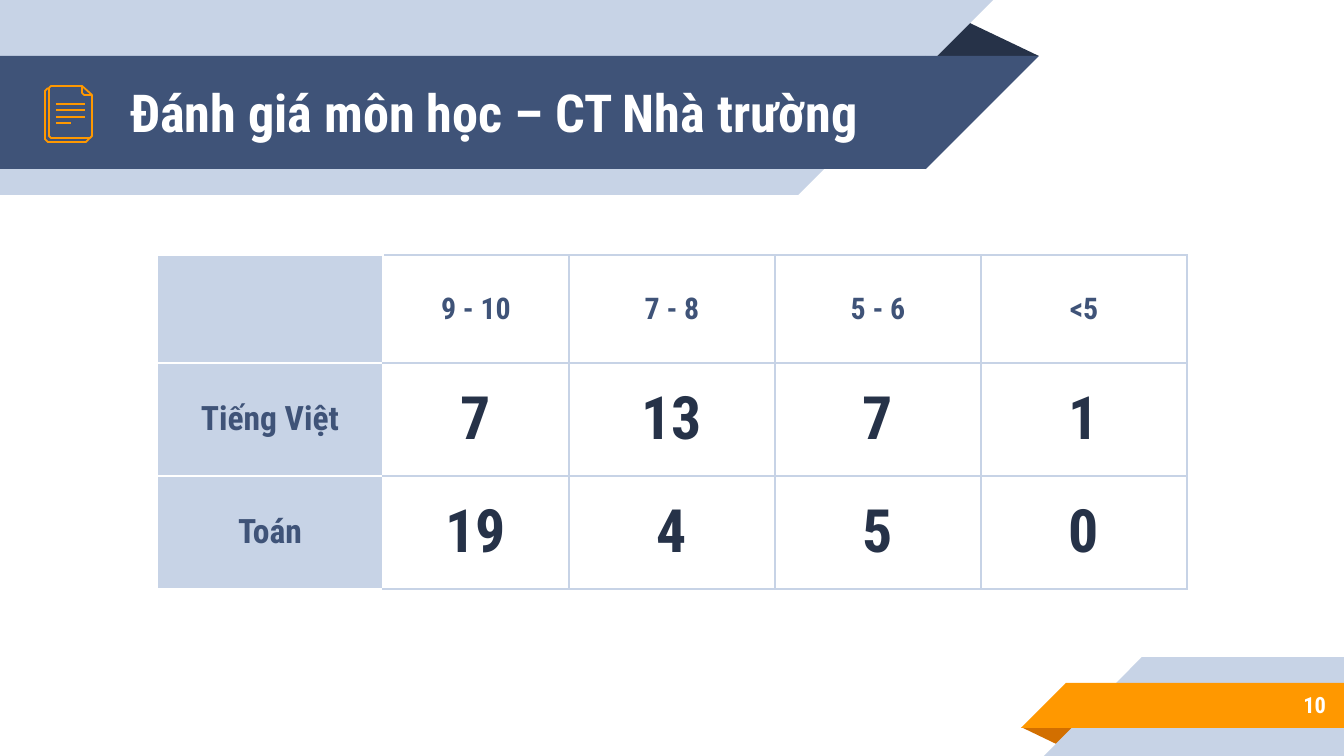
from dataclasses import dataclass

from lxml import etree
from pptx import Presentation
from pptx.dml.color import RGBColor
from pptx.enum.shapes import MSO_CONNECTOR, MSO_SHAPE
from pptx.enum.text import MSO_ANCHOR, PP_ALIGN
from pptx.oxml.ns import qn
from pptx.util import Pt

RECT = MSO_SHAPE.RECTANGLE
CORNER = MSO_SHAPE.RIGHT_TRIANGLE
FOLD = MSO_SHAPE.ISOSCELES_TRIANGLE
STRAIGHT = MSO_CONNECTOR.STRAIGHT
MIDDLE = MSO_ANCHOR.MIDDLE
LEFT, CENTER, RIGHT = PP_ALIGN.LEFT, PP_ALIGN.CENTER, PP_ALIGN.RIGHT

PX = 9144000 / 1344
FONT = "Roboto Condensed"
WHITE, PALE, NAVY, DARK = "FFFFFF", "C7D3E6", "3F5378", "263248"
ORANGE, RUST = "FF9800", "D26F00"


@dataclass
class Piece:
    kind: int
    box: tuple
    color: str
    rotation: int = 0
    flip: bool = False


@dataclass
class Label:
    text: str
    box: tuple
    size: int
    align: int


@dataclass
class Outline:
    points: list
    closed: bool = False


PIECES = [
    Piece(FOLD, (925, 19, 114, 37), DARK),
    Piece(RECT, (0, 0, 798, 195), PALE),
    Piece(CORNER, (798, 0, 195, 195), PALE, 180, True),
    Piece(RECT, (0, 56, 926, 113), NAVY),
    Piece(CORNER, (926, 56, 113, 113), NAVY, 180, True),
    Piece(FOLD, (1021, 727, 58, 19), RUST, 180),
    Piece(RECT, (1142, 657, 202, 99), PALE),
    Piece(CORNER, (1044, 657, 98, 99), PALE, 0, True),
    Piece(RECT, (1066, 683, 278, 45), ORANGE),
    Piece(CORNER, (1021, 683, 45, 45), ORANGE, 0, True),
]
LABELS = [
    Label("10", (1120, 681, 219, 47), 12, RIGHT),
    Label("Đánh giá môn học – CT Nhà trường", (117, 55, 773, 113), 28, LEFT),
]
PAGES = [
    Outline([(89, 138), (89, 139), (86, 142), (48, 142), (45, 139), (45, 91), (48, 88)]),
    Outline([(92, 95), (92, 136), (90, 138), (51, 138), (49, 136), (49, 88), (51, 86), (82, 86)]),
    Outline([(82, 86), (92, 95), (84, 95), (82, 93)], True),
]
TEXT_LINES = [(104, 85), (110, 85), (117, 85), (123, 71)]
SCORES = [
    ["", "9 - 10", "7 - 8", "5 - 6", "<5"],
    ["Tiếng Việt", "7", "13", "7", "1"],
    ["Toán", "19", "4", "5", "0"],
]
COLUMNS = [226, 186, 206, 206, 206]
ROWS = [108, 113, 113]


def px(n: int) -> int:
    return round(n * PX)


def rgb(color: str) -> RGBColor:
    return RGBColor.from_string(color)


def style_text(p, text: str, size: int, color: str, align: int) -> None:
    p.text = text
    p.alignment = align
    f = p.font
    f.name, f.size, f.bold = FONT, Pt(size), True
    f.color.rgb = rgb(color)


def draw_piece(shapes, piece: Piece) -> None:
    s = shapes.add_shape(piece.kind, *map(px, piece.box))
    s.shadow.inherit = False
    s.fill.solid()
    s.fill.fore_color.rgb = rgb(piece.color)
    s.line.fill.background()
    s.rotation = piece.rotation
    if piece.kind == FOLD:
        s.adjustments[0] = 0.32
    if piece.flip:
        s._element.spPr.find(qn("a:xfrm")).set("flipH", "1")


def draw_label(shapes, label: Label) -> None:
    tf = shapes.add_textbox(*map(px, label.box)).text_frame
    tf.word_wrap = True
    tf.vertical_anchor = MIDDLE
    tf.margin_left = tf.margin_right = tf.margin_top = tf.margin_bottom = px(13)
    style_text(tf.paragraphs[0], label.text, label.size, WHITE, label.align)


def style_stroke(s) -> None:
    s.line.color.rgb = rgb(ORANGE)
    s.line.width = Pt(0.96)


def draw_outline(shapes, outline: Outline) -> None:
    start, *rest = outline.points
    builder = shapes.build_freeform(*start, scale=PX)
    builder.add_line_segments(rest, close=outline.closed)
    s = builder.convert_to_shape()
    s.shadow.inherit = False
    s.fill.background()
    style_stroke(s)


def draw_text_line(shapes, y: int, right: int) -> None:
    s = shapes.add_connector(STRAIGHT, px(56), px(y), px(right), px(y))
    style_stroke(s)
    etree.SubElement(s._element.spPr, qn("a:effectLst"))


def set_border(cell, side: str, color: str) -> None:
    ln = etree.SubElement(cell._tc.get_or_add_tcPr(), qn(f"a:ln{side}"), w=str(Pt(0.75)))
    fill = etree.SubElement(ln, qn("a:solidFill"))
    etree.SubElement(fill, qn("a:srgbClr"), val=color)


def draw_cell(cell, text: str, row: int, col: int) -> None:
    for side in "LRTB":
        white = col == 0 or (col == 1 and side == "L")
        set_border(cell, side, WHITE if white else PALE)
    if col == 0:
        cell.fill.solid()
        cell.fill.fore_color.rgb = rgb(PALE)
    else:
        cell.fill.background()
    cell.vertical_anchor = MIDDLE
    cell.margin_left = cell.margin_right = px(13)
    cell.margin_top = cell.margin_bottom = px(9)
    if col == 0:
        size, color = 18, NAVY
    elif row == 0:
        size, color = 16, NAVY
    else:
        size, color = 32, DARK
    style_text(cell.text_frame.paragraphs[0], text, size, color, CENTER)


def draw_scores(shapes) -> None:
    box = (157, 255, sum(COLUMNS), sum(ROWS))
    table = shapes.add_table(len(ROWS), len(COLUMNS), *map(px, box)).table
    table.first_row = table.horz_banding = False
    for column, width in zip(table.columns, COLUMNS):
        column.width = px(width)
    for r, height in enumerate(ROWS):
        table.rows[r].height = px(height)
        for c, text in enumerate(SCORES[r]):
            draw_cell(table.cell(r, c), text, r, c)


def main() -> None:
    prs = Presentation()
    prs.slide_width, prs.slide_height = px(1344), px(756)
    shapes = prs.slides.add_slide(prs.slide_layouts[6]).shapes
    for piece in PIECES:
        draw_piece(shapes, piece)
    for outline in PAGES:
        draw_outline(shapes, outline)
    for y, right in TEXT_LINES:
        draw_text_line(shapes, y, right)
    for label in LABELS:
        draw_label(shapes, label)
    draw_scores(shapes)
    prs.save("out.pptx")


if __name__ == "__main__":
    main()
